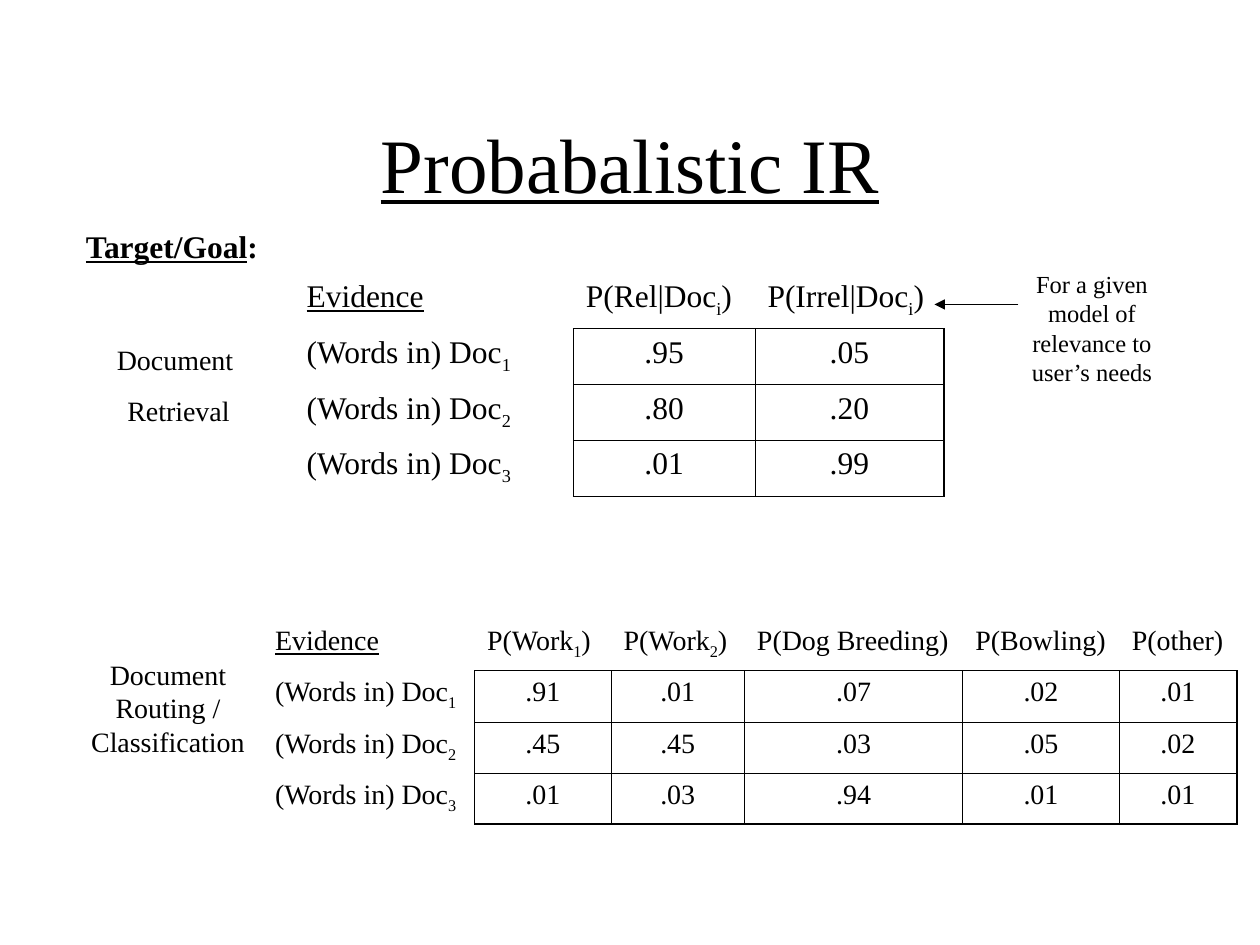
import pptx
import pptx.util
import pptx.dml.color
import pptx.enum.shapes
import pptx.enum.text
import pptx.oxml.ns
import lxml.etree

ALIGN = pptx.enum.text.PP_ALIGN
ANCHOR = pptx.enum.text.MSO_ANCHOR
FIT = pptx.enum.text.MSO_AUTO_SIZE
NO_GRID = "{2D5ABB26-0587-4C30-8999-92F81FD0307C}"


def color(value):
    return pptx.dml.color.RGBColor.from_string(value)


def child(parent, tag, **attributes):
    return lxml.etree.SubElement(parent, pptx.oxml.ns.qn(tag), attributes)


class Page:
    font = "Times New Roman"
    ink = "000000"
    columns, rows = 120, 90
    thin, thick = 0.45, 1.08

    def __init__(self, deck):
        self.deck = deck
        self.slide = deck.slides.add_slide(deck.slide_layouts[6])

    def across(self, count):
        return round(self.deck.slide_width * count / self.columns)

    def down(self, count):
        return round(self.deck.slide_height * count / self.rows)

    def place(self, left, top, width, height):
        return self.across(left), self.down(top), self.across(width), self.down(height)

    def span(self, para, text, size, lowered=False, **formats):
        span = para.add_run()
        span.text = text
        values = {"name": self.font, "size": pptx.util.Pt(size), **formats}
        for name, value in values.items():
            setattr(span.font, name, value)
        span.font.color.rgb = color(self.ink)
        if lowered:
            span._r.get_or_add_rPr().set("baseline", "-25000")

    def label(self, para, text, size, **formats):
        first, *others = text.split("_")
        self.span(para, first, size, **formats)
        for part in others:
            self.span(para, part[0], size, lowered=True)
            if part[1:]:
                self.span(para, part[1:], size)

    def text(self, place, paragraphs, size, align=ALIGN.CENTER, gap=0,
             anchor=ANCHOR.TOP, fit=FIT.SHAPE_TO_FIT_TEXT):
        box = self.slide.shapes.add_textbox(*self.place(*place))
        frame = box.text_frame
        settings = {"word_wrap": True, "auto_size": fit, "vertical_anchor": anchor}
        for name, value in settings.items():
            setattr(frame, name, value)
        for index, spans in enumerate(paragraphs):
            para = frame.add_paragraph() if index else frame.paragraphs[0]
            para.alignment = align
            if index:
                para.space_before = pptx.util.Pt(gap)
            for text, formats in spans:
                self.span(para, text, size, **formats)

    def arrow(self, start, end):
        arrow = self.slide.shapes.add_connector(
            pptx.enum.shapes.MSO_CONNECTOR.STRAIGHT,
            self.across(start[0]), self.down(start[1]),
            self.across(end[0]), self.down(end[1]))
        arrow.line.color.rgb = color(self.ink)
        arrow.line.width = pptx.util.Pt(0.75)
        child(arrow.line._get_or_add_ln(), "a:tailEnd", type="triangle")
        child(arrow._element.spPr, "a:effectLst")

    def borders(self, cell, edges):
        properties = cell._tc.get_or_add_tcPr()
        for index, (side, width) in enumerate(edges.items()):
            line = child(properties, f"a:ln{side}", w=str(pptx.util.Pt(width)))
            child(child(line, "a:solidFill"), "a:srgbClr", val=self.ink)
            properties.insert(index, line)

    def edges(self, row, column, last_row, last_column):
        if row and column:
            return {"L": self.thin,
                    "R": self.thick if column == last_column else self.thin,
                    "T": self.thin,
                    "B": self.thick if row == last_row else self.thin}
        if row:
            return {"R": self.thin}
        return {"B": self.thin} if column else {}

    def table(self, left, top, widths, row_height, size, grid):
        last_row, last_column = len(grid) - 1, len(widths) - 1
        place = self.place(left, top, sum(widths), row_height * len(grid))
        table = self.slide.shapes.add_table(len(grid), len(widths), *place).table
        table.first_row = table.horz_banding = False
        table._tbl.tblPr.find(pptx.oxml.ns.qn("a:tableStyleId")).text = NO_GRID
        for index, width in enumerate(widths):
            table.columns[index].width = self.across(width)
        for row, texts in enumerate(grid):
            table.rows[row].height = self.down(row_height)
            for column, text in enumerate(texts):
                cell = table.cell(row, column)
                cell.fill.background()
                para = cell.text_frame.paragraphs[0]
                para.alignment = ALIGN.CENTER if row and column else ALIGN.LEFT
                self.label(para, text, size, underline=not (row or column))
                self.borders(cell, self.edges(row, column, last_row, last_column))


def evidence(headings, chances):
    rows = [[f"(Words in) Doc_{number}", *values.split()]
            for number, values in enumerate(chances, 1)]
    return [["Evidence", *headings], *rows]


def main():
    deck = pptx.Presentation()
    deck.slide_width = pptx.util.Inches(10)
    deck.slide_height = pptx.util.Inches(7.5)
    page = Page(deck)

    page.text((9, 8, 102, 15), [[("Probabalistic IR", {"underline": True})]], 44,
              anchor=ANCHOR.MIDDLE, fit=FIT.NONE)
    page.text((7, 21, 33, 4.8),
              [[("Target/Goal", {"bold": True, "underline": True}),
                (":", {"bold": True})]], 18, align=ALIGN.LEFT)

    page.text((7, 32, 20, 9.2), [[("Document ", {})], [("Retrieval", {})]], 16, gap=10)
    page.table(28, 26, [26.6, 17.3, 18], 5.32, 18, evidence(
        ["P(Rel|Doc_i)", "P(Irrel|Doc_i)"],
        [".95 .05", ".80 .20", ".01 .99"]))
    page.text((96, 25, 16, 12.5),
              [[("For a given model of relevance to user’s needs", {})]], 14)
    page.arrow((97, 29), (89, 29))

    page.text((7, 62, 18, 10.8), [[("Document Routing / Classification", {})]], 16)
    page.table(25, 59, [20.2, 13, 12.7, 20.8, 14.9, 11.2], 4.88, 16, evidence(
        ["P(Work_1)", "P(Work_2)", "P(Dog Breeding)", "P(Bowling)", "P(other)"],
        [".91 .01 .07 .02 .01", ".45 .45 .03 .05 .02", ".01 .03 .94 .01 .01"]))

    deck.save("out.pptx")


if __name__ == "__main__":
    main()
